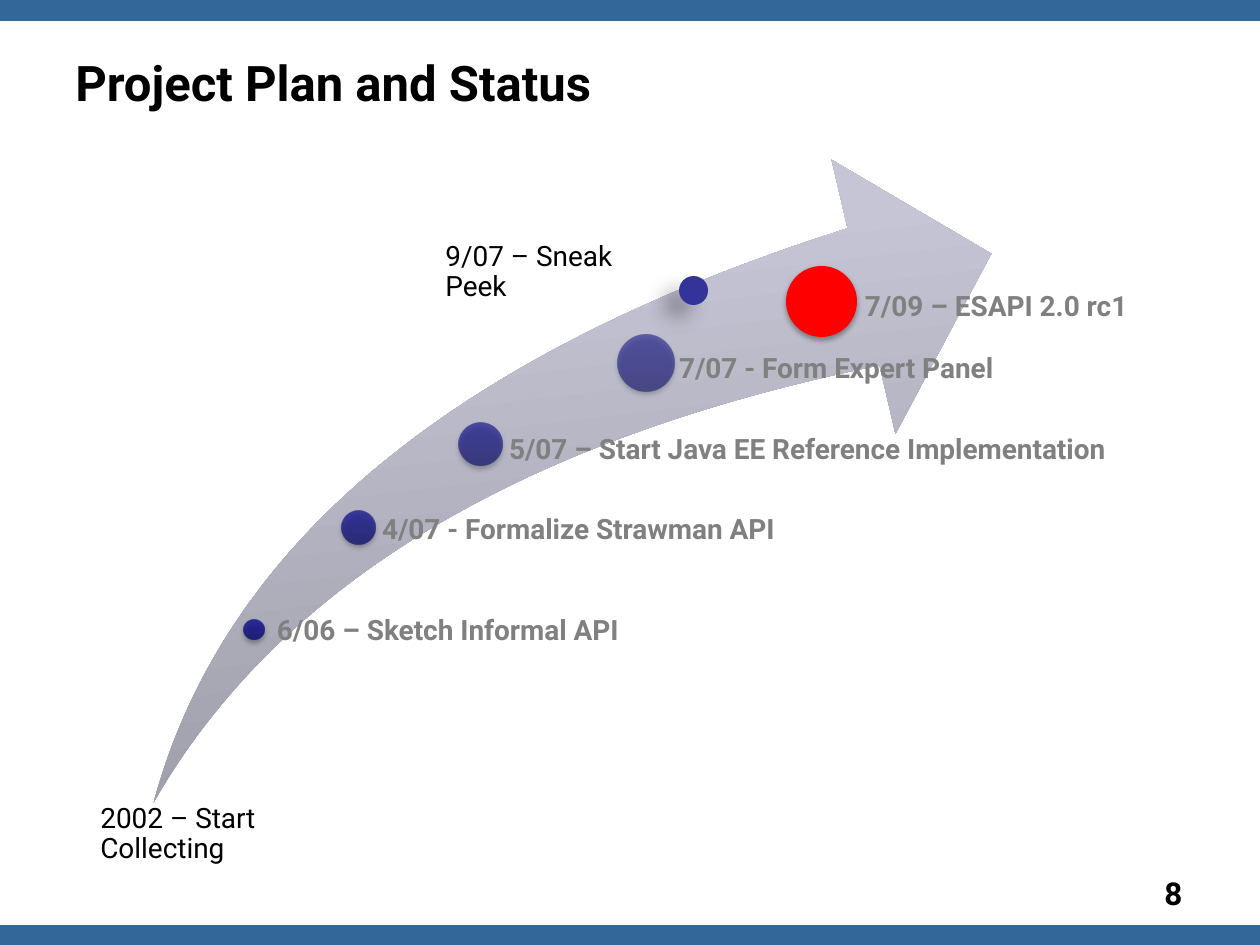
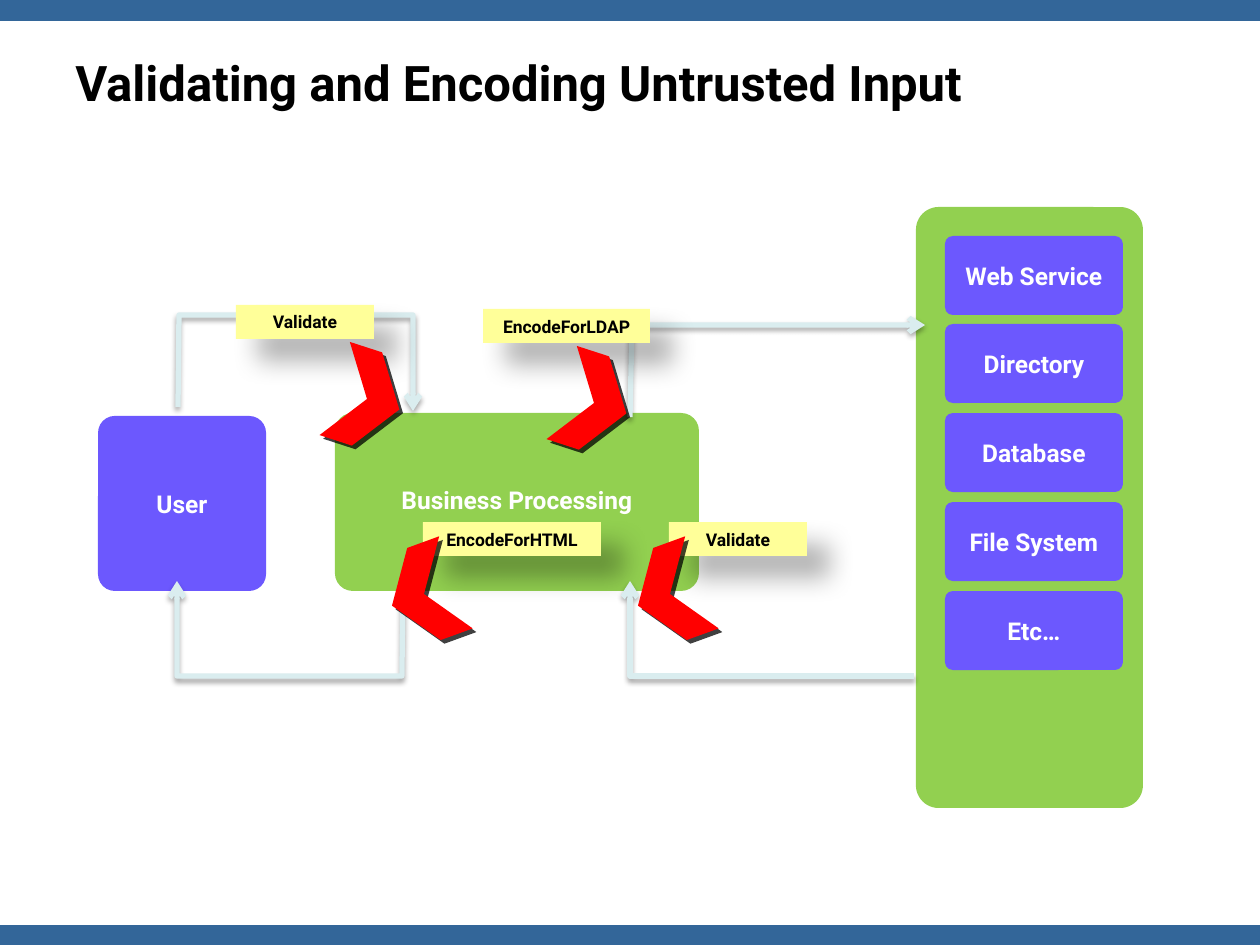
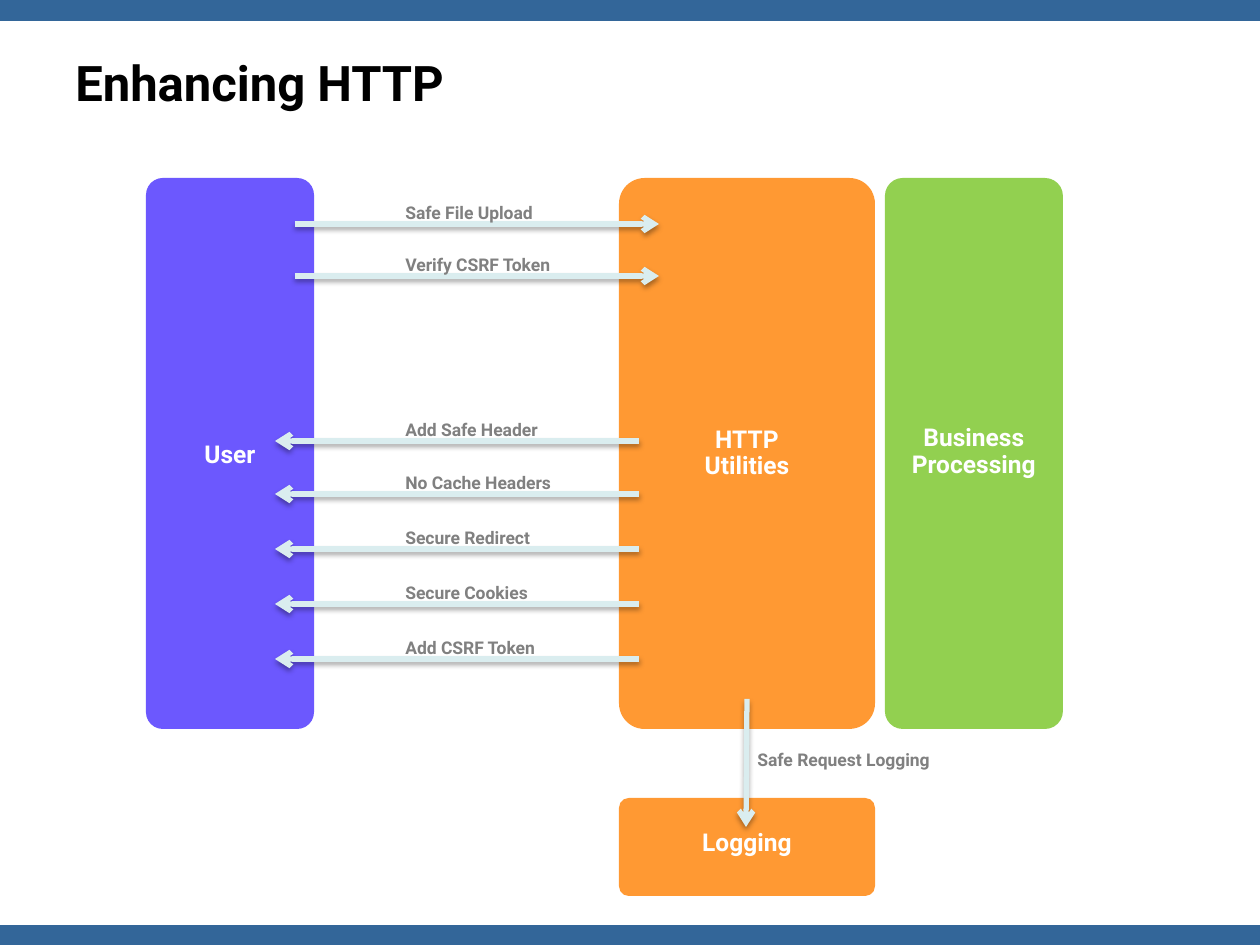
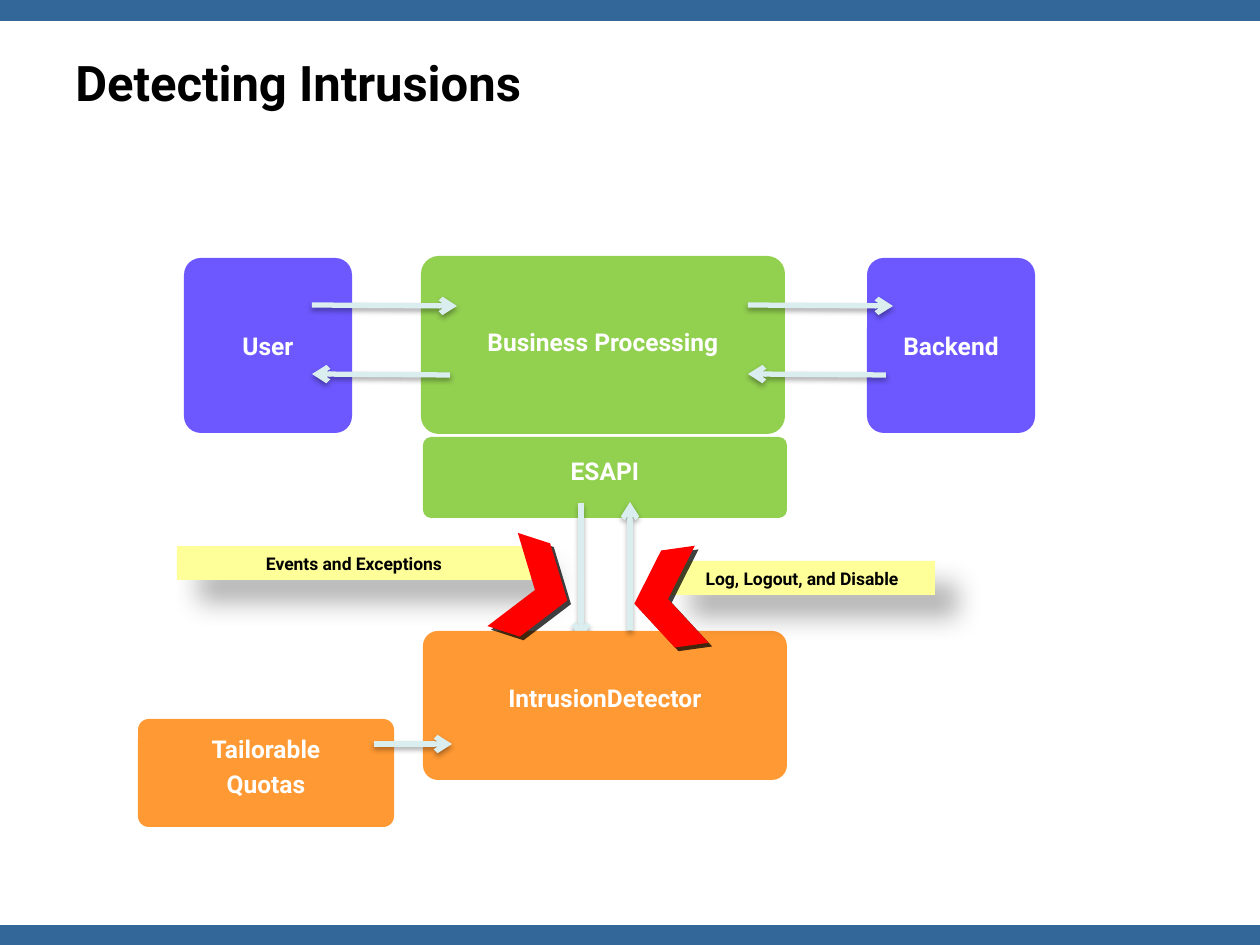
"""Build four slides on a security API: plan, input checks, HTTP and intrusions."""
from dataclasses import dataclass
from typing import Any, Optional

from lxml.etree import SubElement
from pptx import Presentation
from pptx.dml.color import RGBColor
from pptx.enum.shapes import MSO_CONNECTOR, MSO_SHAPE
from pptx.enum.text import MSO_ANCHOR, PP_ALIGN
from pptx.oxml.ns import qn
from pptx.util import Emu, Pt

SCALE = 914400 / 126
FONT = "Roboto"
WHITE = RGBColor(0xFF, 0xFF, 0xFF)
BLACK = RGBColor(0x00, 0x00, 0x00)
GRAY = RGBColor(0x80, 0x80, 0x80)
BLUE = RGBColor(0x33, 0x66, 0x99)
VIOLET = RGBColor(0x6C, 0x58, 0xFE)
GREEN = RGBColor(0x92, 0xD0, 0x50)
ORANGE = RGBColor(0xFF, 0x99, 0x33)
YELLOW = RGBColor(0xFF, 0xFF, 0x99)
RED = RGBColor(0xFF, 0x00, 0x00)
NAVY = RGBColor(0x33, 0x33, 0x99)
PALE = RGBColor(0xDA, 0xED, 0xEF)
DOT_LOW = RGBColor(0x17, 0x17, 0x71)
DOT_HIGH = RGBColor(0x1E, 0x1E, 0x93)
ARC_LOW = RGBColor(0x98, 0x98, 0xA4)
ARC_HIGH = RGBColor(0xC5, 0xC5, 0xD5)

Point = tuple[int, int]


@dataclass(frozen=True)
class Box:
    x: int
    y: int
    w: int
    h: int


@dataclass(frozen=True)
class Shade:
    alpha: int
    blur: float
    dist: float
    angle: int


@dataclass(frozen=True)
class Step:
    dot: Box
    alpha: int
    label: str
    area: Box
    inset: int


@dataclass(frozen=True)
class Panel:
    box: Box
    color: RGBColor
    label: str = ""
    lift: int = 0
    line: float = 1.0


@dataclass(frozen=True)
class Flag:
    box: Box
    label: str
    mid: Point
    turn: int


SOFT = Shade(35, 3.1, 1.8, 90)
FAR = Shade(30, 15, 18, 45)
HARD = Shade(75, 0, 3, 45)
SIDE = Shade(28, 11.8, 12, 141)


def px(size: float) -> Emu:
    return Emu(round(size * SCALE))


def place(box: Box) -> tuple[Emu, Emu, Emu, Emu]:
    return px(box.x), px(box.y), px(box.w), px(box.h)


def cast(shape: Any, shade: Optional[Shade] = None) -> None:
    effects = SubElement(shape._element.spPr, qn("a:effectLst"))
    if shade:
        outer = SubElement(effects, qn("a:outerShdw"), blurRad=str(Pt(shade.blur)),
                           dist=str(Pt(shade.dist)), dir=str(shade.angle * 60000),
                           algn="ctr", rotWithShape="0")
        color = SubElement(outer, qn("a:srgbClr"), val="000000")
        SubElement(color, qn("a:alpha"), val=str(shade.alpha * 1000))


def write(shape: Any, text: str, *, size: int, color: RGBColor, bold: bool = True,
          align: PP_ALIGN = PP_ALIGN.LEFT, anchor: MSO_ANCHOR = MSO_ANCHOR.TOP,
          line: float = 1.0, after: int = 0, left: float = 12.6,
          top: float = 6.3, lift: int = 0) -> None:
    frame = shape.text_frame
    frame.word_wrap = True
    frame.vertical_anchor = anchor
    frame.margin_left, frame.margin_right = px(left), px(12.6)
    frame.margin_top, frame.margin_bottom = px(top), px(top + lift)
    frame.text = text
    for part in frame.paragraphs:
        part.alignment = align
        part.line_spacing = line
        part.space_after = Pt(after)
        for run in part.runs:
            run.font.name = FONT
            run.font.size = Pt(size)
            run.font.bold = bold
            run.font.color.rgb = color


def note(slide: Any, box: Box, text: str, **style: Any) -> None:
    write(slide.shapes.add_textbox(*place(box)), text, **style)


def solid(slide: Any, kind: MSO_SHAPE, box: Box, color: RGBColor,
          shade: Optional[Shade] = None) -> Any:
    shape = slide.shapes.add_shape(kind, *place(box))
    shape.fill.solid()
    shape.fill.fore_color.rgb = color
    shape.line.fill.background()
    cast(shape, shade)
    return shape


def blend(shape: Any, low: RGBColor, high: RGBColor, alpha: int = 100) -> None:
    shape.fill.gradient()
    shape.fill.gradient_angle = 90
    first, last = shape.fill.gradient_stops
    first.color.rgb, last.color.rgb = low, high
    first.position, last.position = 0, 0.8
    if alpha < 100:
        fill = shape._element.spPr.find(qn("a:gradFill"))
        for color in fill.iter(qn("a:srgbClr")):
            SubElement(color, qn("a:alpha"), val=str(alpha * 1000))


def panel(slide: Any, item: Panel) -> None:
    shape = solid(slide, MSO_SHAPE.ROUNDED_RECTANGLE, item.box, item.color)
    shape.adjustments[0] = 0.1
    if item.label:
        write(shape, item.label, size=14, color=WHITE, align=PP_ALIGN.CENTER,
              anchor=MSO_ANCHOR.MIDDLE, line=item.line, after=5, lift=item.lift)


def flag(slide: Any, item: Flag) -> None:
    tag = solid(slide, MSO_SHAPE.RECTANGLE, item.box, YELLOW, FAR)
    write(tag, item.label, size=10, color=BLACK, align=PP_ALIGN.CENTER,
          anchor=MSO_ANCHOR.MIDDLE)
    mid_x, mid_y = item.mid
    mark = solid(slide, MSO_SHAPE.CHEVRON, Box(mid_x - 34, mid_y - 49, 68, 98), RED, HARD)
    mark.rotation = item.turn


def stroke(shape: Any) -> None:
    shape.line.color.rgb = PALE
    shape.line.width = Pt(3)
    SubElement(shape.line._get_or_add_ln(), qn("a:tailEnd"), type="arrow")
    cast(shape, SOFT)


def arrow(slide: Any, start: Point, end: Point) -> None:
    ends = [px(value) for value in start + end]
    stroke(slide.shapes.add_connector(MSO_CONNECTOR.STRAIGHT, *ends))


def route(slide: Any, *points: Point) -> None:
    pen = slide.shapes.build_freeform(*points[0], scale=SCALE)
    pen.add_line_segments(points[1:], close=False)
    shape = pen.convert_to_shape()
    shape.fill.background()
    stroke(shape)


def start(deck: Any, title: str) -> Any:
    slide = deck.slides.add_slide(deck.slide_layouts[6])
    for top, tall in ((0, 21), (925, 20)):
        solid(slide, MSO_SHAPE.RECTANGLE, Box(0, top, 1260, tall), BLUE)
    note(slide, Box(63, 27, 1134, 110), title, size=28, color=BLACK,
         anchor=MSO_ANCHOR.MIDDLE)
    return slide


def plan(deck: Any) -> None:
    slide = start(deck, "Project Plan and Status")
    note(slide, Box(1152, 868, 55, 32), "8", size=18, color=BLACK)
    swoosh = solid(slide, MSO_SHAPE.SWOOSH_ARROW, Box(118, 193, 896, 559), ARC_HIGH)
    swoosh.adjustments[0] = swoosh.adjustments[1] = 0.25
    swoosh.rotation = 353.3
    blend(swoosh, ARC_LOW, ARC_HIGH)
    steps = [
        Step(Box(244, 620, 20, 20), 90, "6/06 – Sketch Informal API",
             Box(266, 616, 404, 92), 11),
        Step(Box(342, 511, 33, 33), 80, "4/07 - Formalize Strawman API",
             Box(364, 515, 636, 49), 18),
        Step(Box(459, 423, 43, 43), 70, "5/07 – Start Java EE Reference Implementation",
             Box(486, 435, 634, 94), 23),
        Step(Box(618, 335, 56, 56), 60, "7/07 - Form Expert Panel",
             Box(650, 354, 470, 97), 29),
        Step(Box(786, 266, 71, 71), 100, "7/09 – ESAPI 2.0 rc1",
             Box(827, 292, 329, 359), 38),
    ]
    for step in steps:
        dot = solid(slide, MSO_SHAPE.OVAL, step.dot, RED, SOFT)
        if step.alpha < 100:
            blend(dot, DOT_LOW, DOT_HIGH, step.alpha)
        note(slide, step.area, step.label, size=16, color=GRAY, line=0.9,
             left=step.inset, top=0)
    for box, text in ((Box(88, 798, 250, 72), "2002 – Start Collecting"),
                      (Box(433, 236, 240, 72), "9/07 – Sneak Peek")):
        note(slide, box, text, size=16, color=BLACK, bold=False, line=0.9)
    solid(slide, MSO_SHAPE.OVAL, Box(679, 276, 29, 29), NAVY, SIDE)


def checks(deck: Any) -> None:
    slide = start(deck, "Validating and Encoding Untrusted Input")
    panel(slide, Panel(Box(916, 207, 227, 601), GREEN))
    names = ("Web Service", "Directory", "Database", "File System", "Etc…")
    for row, name in enumerate(names):
        panel(slide, Panel(Box(945, 236 + row * 355 // 4, 178, 79), VIOLET, name))
    panel(slide, Panel(Box(98, 416, 168, 175), VIOLET, "User"))
    panel(slide, Panel(Box(335, 413, 364, 178), GREEN, "Business Processing", line=0.9))
    route(slide, (403, 583), (402, 676), (177, 676), (177, 581))
    flag(slide, Flag(Box(423, 522, 178, 34), "EncodeForHTML", (424, 594), 160))
    route(slide, (914, 676), (630, 676), (630, 581))
    route(slide, (178, 407), (179, 315), (413, 315), (413, 411))
    flag(slide, Flag(Box(236, 305, 138, 34), "Validate", (367, 399), 18))
    flag(slide, Flag(Box(669, 522, 138, 34), "Validate", (670, 594), 160))
    route(slide, (630, 417), (632, 325), (925, 325))
    flag(slide, Flag(Box(483, 309, 167, 34), "EncodeForLDAP", (594, 403), 18))


def http(deck: Any) -> None:
    slide = start(deck, "Enhancing HTTP")
    for item in (
        Panel(Box(146, 178, 168, 551), VIOLET, "User"),
        Panel(Box(885, 178, 178, 551), GREEN, "Business Processing", 3, 0.9),
        Panel(Box(619, 178, 256, 551), ORANGE, "HTTP\vUtilities", line=0.9),
        Panel(Box(619, 798, 256, 98), ORANGE, "Logging", 7, 0.9),
    ):
        panel(slide, item)
    sent = ((224, "Safe File Upload"), (276, "Verify CSRF Token"))
    back = ((441, "Add Safe Header"), (494, "No Cache Headers"), (549, "Secure Redirect"),
            (604, "Secure Cookies"), (659, "Add CSRF Token"))
    for left, right, calls in ((295, 659, sent), (639, 275, back)):
        for y, text in calls:
            arrow(slide, (left, y), (right, y))
            note(slide, Box(393, y - 28, 190, 34), text, size=10, color=GRAY)
    arrow(slide, (747, 699), (746, 827))
    note(slide, Box(745, 743, 218, 34), "Safe Request Logging", size=10, color=GRAY)


def alarms(deck: Any) -> None:
    slide = start(deck, "Detecting Intrusions")
    for item in (
        Panel(Box(184, 258, 168, 175), VIOLET, "User"),
        Panel(Box(421, 256, 364, 178), GREEN, "Business Processing", 2, 0.9),
        Panel(Box(867, 258, 168, 175), VIOLET, "Backend"),
        Panel(Box(423, 437, 364, 81), GREEN, "ESAPI", 9, 0.9),
    ):
        panel(slide, item)
    for x in (312, 748):
        arrow(slide, (x, 305), (x + 145, 306))
        arrow(slide, (x + 138, 375), (x, 374))
    arrow(slide, (581, 503), (581, 640))
    panel(slide, Panel(Box(423, 631, 364, 149), ORANGE, "IntrusionDetector", 12, 0.9))
    panel(slide, Panel(Box(138, 719, 256, 108), ORANGE, "Tailorable\nQuotas", 9, 0.9))
    flag(slide, Flag(Box(177, 546, 354, 34), "Events and Exceptions", (535, 590), 18))
    arrow(slide, (630, 630), (630, 502))
    flag(slide, Flag(Box(669, 561, 266, 34), "Log, Logout, and Disable", (668, 599), 172))
    arrow(slide, (374, 744), (452, 744))


def main() -> None:
    deck = Presentation()
    deck.slide_width, deck.slide_height = px(1260), px(945)
    for build in (plan, checks, http, alarms):
        build(deck)
    deck.save("out.pptx")


main()
